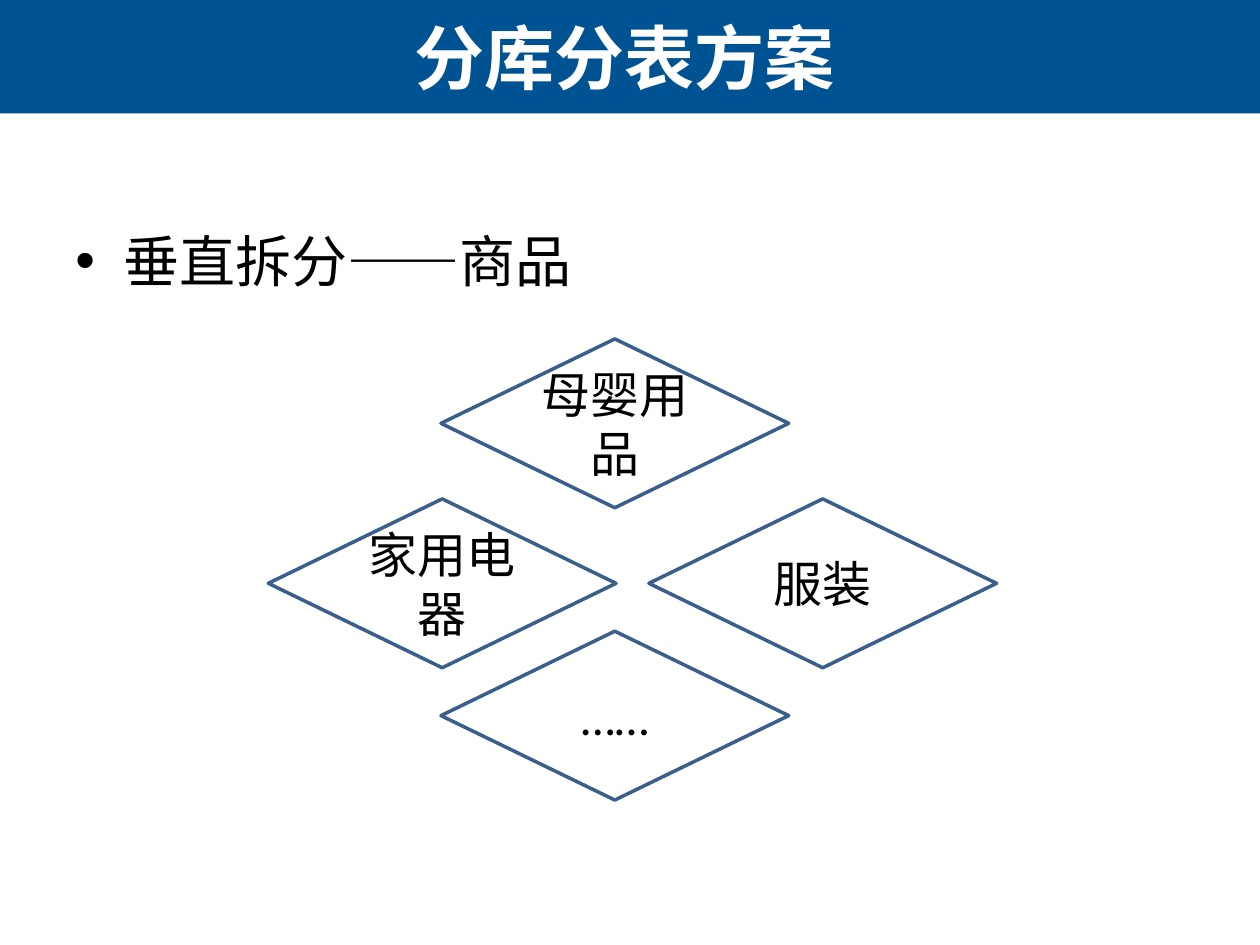
from lxml import etree
from pptx import Presentation
from pptx.dml.color import RGBColor
from pptx.enum.shapes import MSO_SHAPE
from pptx.enum.text import MSO_ANCHOR, MSO_AUTO_SIZE, PP_ALIGN
from pptx.oxml.ns import qn
from pptx.util import Inches, Pt

DIAMOND, RECTANGLE = MSO_SHAPE.FLOWCHART_DECISION, MSO_SHAPE.RECTANGLE
MIDDLE, TOP = MSO_ANCHOR.MIDDLE, MSO_ANCHOR.TOP
CENTER, LEFT = PP_ALIGN.CENTER, PP_ALIGN.LEFT
NO_AUTOFIT = MSO_AUTO_SIZE.NONE

BANNER_BLUE = RGBColor(0x00, 0x53, 0x92)
OUTLINE_BLUE = RGBColor(0x3A, 0x5F, 0x8C)
WHITE = RGBColor(0xFF, 0xFF, 0xFF)
BLACK = RGBColor(0x00, 0x00, 0x00)

SLIDE_WIDTH, SLIDE_HEIGHT = Inches(10), Inches(7.5)
BANNER_HEIGHT = Inches(0.9)
DIAMOND_WIDTH, DIAMOND_HEIGHT = Inches(2.76), Inches(1.34)
COLUMNS = {"left": Inches(2.13), "middle": Inches(3.5), "right": Inches(5.15)}
ROWS = {"top": Inches(2.69), "centre": Inches(3.96), "bottom": Inches(5.01)}
CATEGORIES = [
    ("母婴用品", "middle", "top"),
    ("家用电器", "left", "centre"),
    ("服装", "right", "centre"),
    ("……", "middle", "bottom"),
]

TITLE_FONT = {"name": "Arial", "size": Pt(40), "bold": True}
TOPIC_FONT = {"name": "Calibri", "size": Pt(32)}
CATEGORY_FONT = {"name": "Calibri", "size": Pt(28)}


def write(shape, wording, font_format, color, anchor, alignment):
    """Put one formatted paragraph in a shape and return it."""
    frame = shape.text_frame
    frame.word_wrap = True
    frame.auto_size = NO_AUTOFIT
    frame.vertical_anchor = anchor
    paragraph = frame.paragraphs[0]
    paragraph.alignment = alignment
    run = paragraph.add_run()
    run.text = wording
    for attribute, value in font_format.items():
        setattr(run.font, attribute, value)
    run.font.color.rgb = color
    return paragraph


def add_banner(slide):
    """Lay the coloured band behind the title."""
    banner = slide.shapes.add_shape(RECTANGLE, 0, 0, SLIDE_WIDTH, BANNER_HEIGHT)
    banner.shadow.inherit = False
    banner.fill.solid()
    banner.fill.fore_color.rgb = BANNER_BLUE
    banner.line.fill.background()
    slide.shapes.title._element.addprevious(banner._element)


def set_title(slide, wording):
    """Place and format the title placeholder."""
    title = slide.shapes.title
    title.left, title.top = Inches(0.02), 0
    title.width, title.height = Inches(9.87), BANNER_HEIGHT
    write(title, wording, TITLE_FONT, WHITE, MIDDLE, CENTER)


def add_topic(slide, wording):
    """Add the bulleted topic line."""
    topic = slide.shapes.add_textbox(
        Inches(0.5), Inches(1.75), SLIDE_WIDTH - 2 * Inches(0.5), Inches(4.95))
    paragraph = write(topic, wording, TOPIC_FONT, BLACK, TOP, LEFT)
    properties = paragraph._p.get_or_add_pPr()
    properties.set("marL", str(Inches(0.38)))
    properties.set("indent", str(-Inches(0.38)))
    spacing = etree.SubElement(properties, qn("a:spcBef"))
    etree.SubElement(spacing, qn("a:spcPct"), val="20000")
    etree.SubElement(properties, qn("a:buFont"), typeface="Arial")
    etree.SubElement(properties, qn("a:buChar"), char="•")


def add_category(slide, wording, column, row):
    """Add one outlined diamond naming a product category."""
    diamond = slide.shapes.add_shape(
        DIAMOND, COLUMNS[column], ROWS[row], DIAMOND_WIDTH, DIAMOND_HEIGHT)
    diamond.shadow.inherit = False
    diamond.fill.background()
    diamond.line.color.rgb = OUTLINE_BLUE
    diamond.line.width = Pt(2)
    write(diamond, wording, CATEGORY_FONT, BLACK, MIDDLE, CENTER)


def main():
    """Build and save the slide."""
    presentation = Presentation()
    presentation.slide_width = SLIDE_WIDTH
    presentation.slide_height = SLIDE_HEIGHT
    title_only = presentation.slide_layouts[5]
    slide = presentation.slides.add_slide(title_only)
    add_banner(slide)
    set_title(slide, "分库分表方案")
    add_topic(slide, "垂直拆分——商品")
    for wording, column, row in CATEGORIES:
        add_category(slide, wording, column, row)
    presentation.save("out.pptx")


main()
